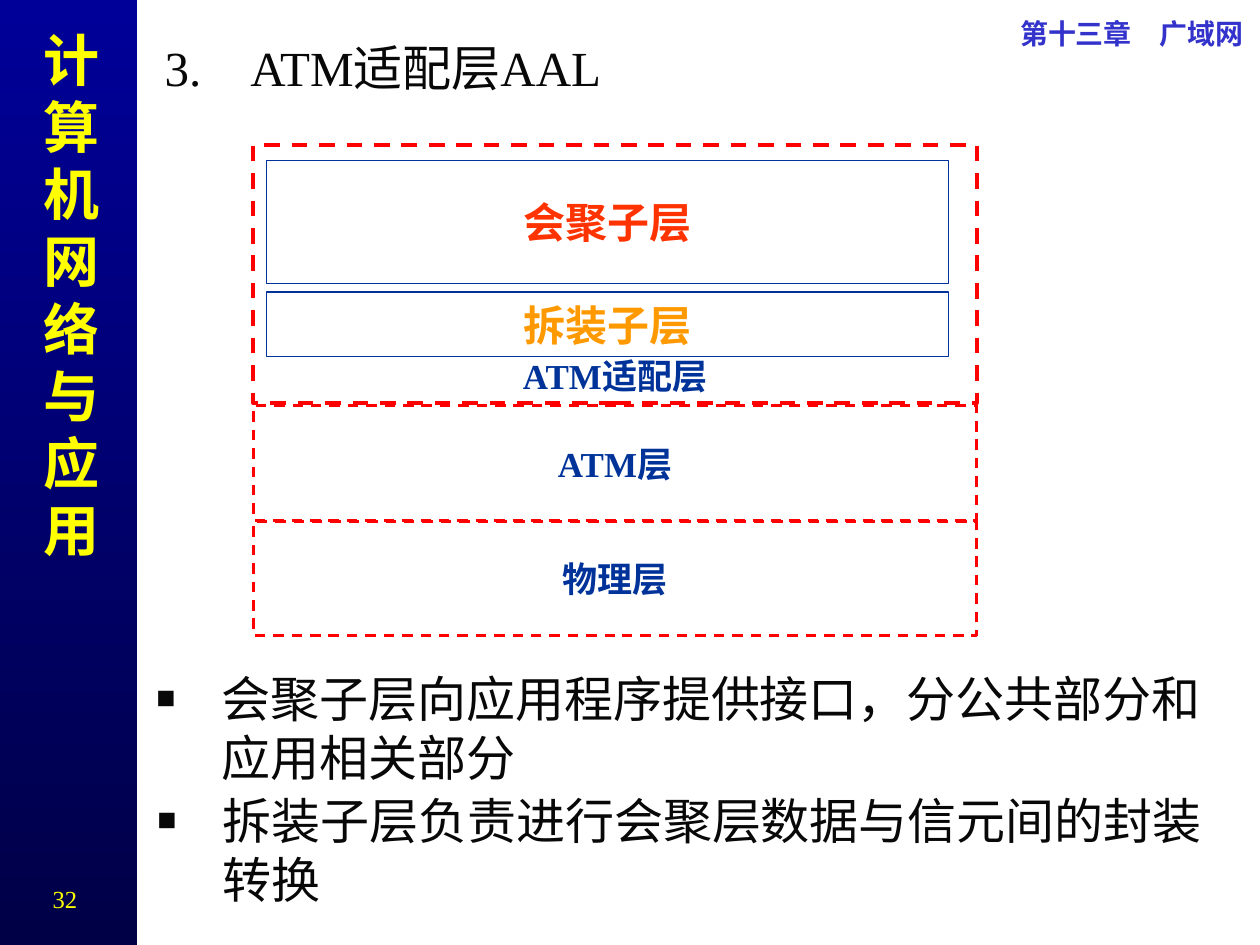
from dataclasses import dataclass

from lxml.etree import SubElement
from pptx import Presentation
from pptx.dml.color import RGBColor
from pptx.enum.dml import MSO_LINE
from pptx.enum.shapes import MSO_SHAPE
from pptx.enum.text import MSO_ANCHOR, MSO_AUTO_SIZE, PP_ALIGN
from pptx.oxml.ns import qn
from pptx.util import Cm, Pt


@dataclass(frozen=True)
class Theme:
    """Fonts, colours and type sizes of the slide."""
    font: str = "Times New Roman"
    ink: str = "080808"
    navy: str = "003399"
    yellow: str = "FFFF00"
    header: str = "3333CC"
    red: str = "FF0000"
    vermilion: str = "FF3300"
    orange: str = "FF9900"
    band_top: str = "000099"
    band_end: str = "000046"
    side_pt: int = 32
    main_pt: int = 28
    sublayer_pt: int = 24
    layer_pt: int = 20
    header_pt: int = 16
    number_pt: int = 14


def write(tf, text, size, color, font, bold=False, align=PP_ALIGN.LEFT,
          anchor=MSO_ANCHOR.TOP, wrap=True, margins=(0.25, 0.13)):
    """Put one formatted paragraph into a text frame and return it."""
    tf.auto_size = MSO_AUTO_SIZE.NONE
    tf.word_wrap = wrap
    tf.vertical_anchor = anchor
    tf.margin_left = tf.margin_right = Cm(margins[0])
    tf.margin_top = tf.margin_bottom = Cm(margins[1])
    p = tf.paragraphs[0]
    p.alignment = align
    p.space_before = Pt(0)
    r = p.add_run()
    r.text = text
    r.font.name = font
    r.font.size = Pt(size)
    r.font.bold = bold
    r.font.color.rgb = RGBColor.from_string(color)
    return p


class Deck:
    """Holds the theme and the current slide."""

    def __init__(self, prs, theme):
        """Start a slide with a title and two body placeholders."""
        self.theme = theme
        self.s = prs.slides.add_slide(prs.slide_layouts[3])

    def placeholder(self, idx, box, text, **fmt):
        """Move and fill a template placeholder."""
        t = self.theme
        sp = self.s.placeholders[idx]
        sp.left, sp.top, sp.width, sp.height = map(Cm, box)
        return write(sp.text_frame, text, t.main_pt, t.ink, t.font, **fmt)

    def title(self, box, text):
        """Fill the title."""
        self.placeholder(0, box, text, anchor=MSO_ANCHOR.MIDDLE)

    def bullet(self, idx, box, text):
        """Fill a body placeholder with one square-bulleted paragraph."""
        p = self.placeholder(idx, box, text)
        pPr = p._p.get_or_add_pPr()
        pPr.set("marL", str(Cm(1.32)))
        pPr.set("indent", str(-Cm(1.32)))
        clr = SubElement(pPr, qn("a:buClr"))
        SubElement(clr, qn("a:srgbClr"), val=self.theme.ink)
        SubElement(pPr, qn("a:buSzPct"), val="65000")
        SubElement(pPr, qn("a:buFont"), typeface=self.theme.font)
        SubElement(pPr, qn("a:buChar"), char="■")

    def label(self, box, text, size, color, **fmt):
        """Add a text box."""
        sp = self.s.shapes.add_textbox(*map(Cm, box))
        write(sp.text_frame, text, size, color, self.theme.font, **fmt)

    def rect(self, box):
        """Add a plain rectangle without shadow."""
        sp = self.s.shapes.add_shape(MSO_SHAPE.RECTANGLE, *map(Cm, box))
        sp.shadow.inherit = False
        return sp

    def band(self, box):
        """Add the vertical gradient band."""
        sp = self.rect(box)
        sp.line.fill.background()
        sp.fill.gradient()
        sp.fill.gradient_angle = 270
        for stop, color in zip(sp.fill.gradient_stops,
                               (self.theme.band_top, self.theme.band_end)):
            stop.color.rgb = RGBColor.from_string(color)

    def layer(self, box, text, size, color, line, width, dash=None,
              anchor=MSO_ANCHOR.MIDDLE):
        """Add an outlined, labelled protocol layer."""
        sp = self.rect(box)
        sp.fill.background()
        sp.line.color.rgb = RGBColor.from_string(line)
        sp.line.width = Pt(width)
        sp.line.dash_style = dash
        write(sp.text_frame, text, size, color, self.theme.font, bold=True,
              align=PP_ALIGN.CENTER, anchor=anchor, wrap=False)


def main():
    """Build the slide."""
    prs = Presentation()
    prs.slide_width, prs.slide_height = Cm(25.4), Cm(19.05)
    t = Theme()
    d = Deck(prs, t)

    d.band((0, 0, 2.77, 19.05))
    d.label((0.36, 0.38, 1.9, 11.1), "计算机网络与应用", t.side_pt, t.yellow,
            bold=True, align=PP_ALIGN.RIGHT)
    d.label((19.13, 0.33, 5.94, 0.69), "第十三章　广域网", t.header_pt, t.header,
            bold=True, align=PP_ALIGN.RIGHT, margins=(0, 0))
    d.title((3.07, 0.71, 15.62, 1.27), "3.　ATM适配层AAL")

    for text, top, height, width, anchor in (
            ("物理层", 10.52, 2.29, 1.5, MSO_ANCHOR.MIDDLE),
            ("ATM层", 8.18, 2.31, 1.5, MSO_ANCHOR.MIDDLE),
            ("ATM适配层", 2.92, 5.21, 2.25, MSO_ANCHOR.BOTTOM)):
        d.layer((5.11, top, 14.58, height), text, t.layer_pt, t.navy,
                t.red, width, MSO_LINE.DASH, anchor)
    for text, top, height, color in (("会聚子层", 3.23, 2.49, t.vermilion),
                                     ("拆装子层", 5.89, 1.3, t.orange)):
        d.layer((5.38, top, 13.74, height), text, t.sublayer_pt, color,
                t.navy, 0.75)

    d.bullet(1, (2.9, 13.34, 21.79, 2.03),
             "会聚子层向应用程序提供接口，分公共部分和应用相关部分")
    d.bullet(2, (2.92, 15.8, 21.65, 2.67),
             "拆装子层负责进行会聚层数据与信元间的封装转换")
    d.label((0.56, 17.7, 1.5, 0.86), "32", t.number_pt, t.yellow,
            align=PP_ALIGN.CENTER)
    prs.save("out.pptx")


if __name__ == "__main__":
    main()
